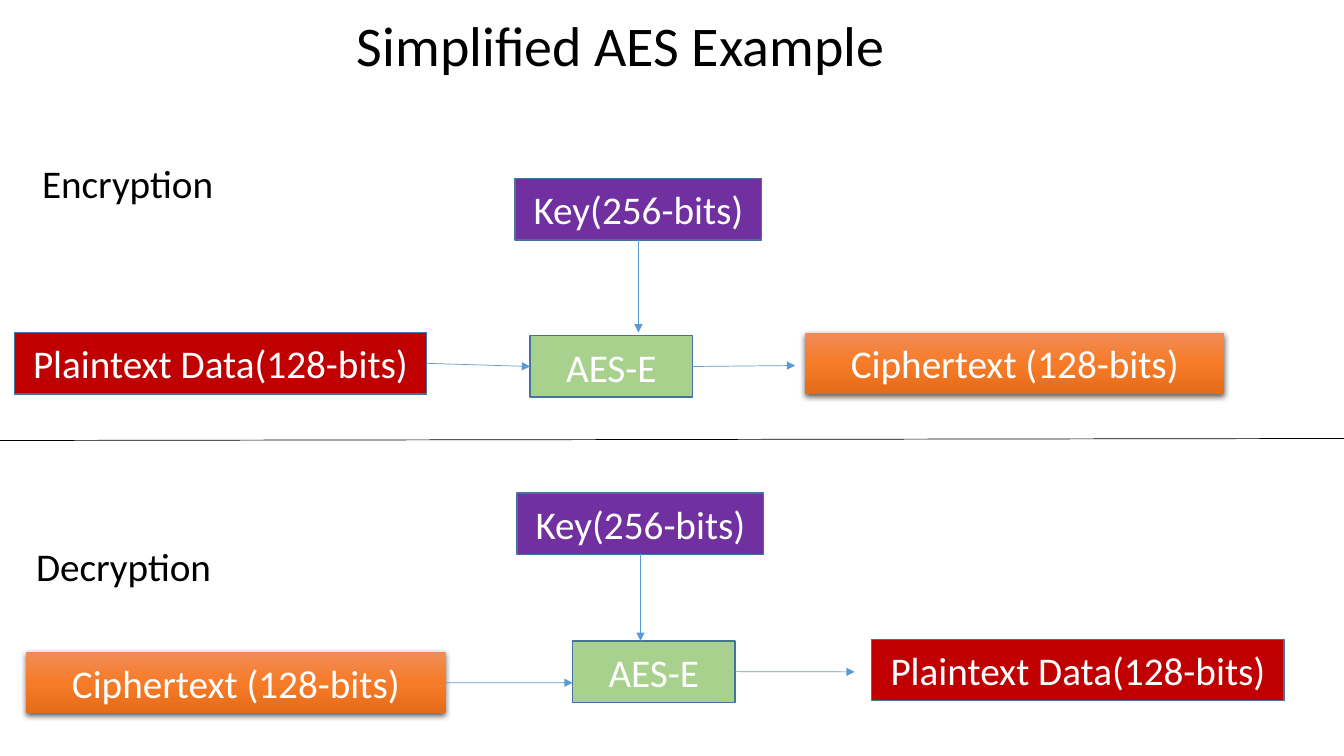
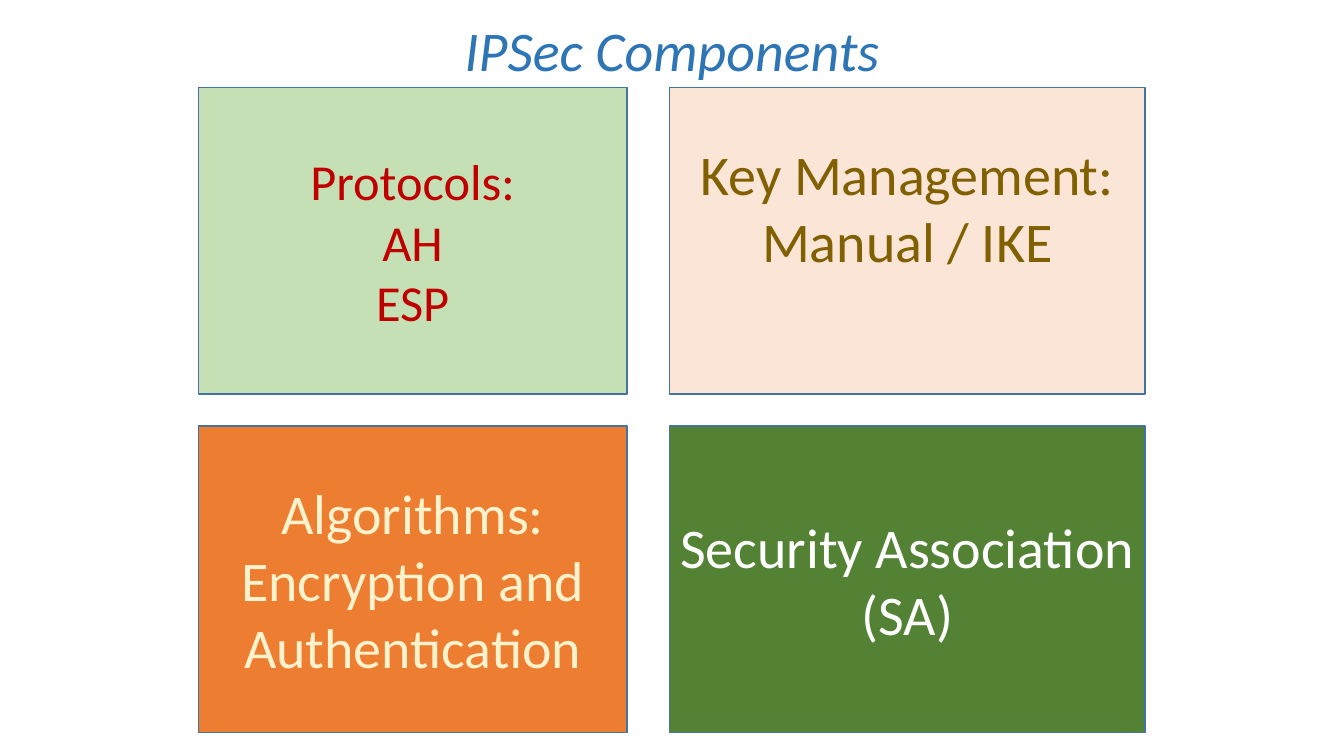
from pptx import Presentation
from pptx.dml.color import RGBColor
from pptx.enum.shapes import MSO_CONNECTOR, MSO_SHAPE
from pptx.enum.text import MSO_ANCHOR, MSO_AUTO_SIZE, PP_ALIGN
from pptx.oxml import parse_xml
from pptx.oxml.ns import nsdecls, qn
from pptx.util import Cm, Pt

RECTANGLE = MSO_SHAPE.RECTANGLE
STRAIGHT = MSO_CONNECTOR.STRAIGHT
MIDDLE = MSO_ANCHOR.MIDDLE
NO_AUTOFIT = MSO_AUTO_SIZE.NONE
LEFT, CENTER = PP_ALIGN.LEFT, PP_ALIGN.CENTER
TOP_SIDE, LEFT_SIDE, BOTTOM_SIDE, RIGHT_SIDE = range(4)

FONT = "Calibri"
BLACK = RGBColor(0x00, 0x00, 0x00)
WHITE = RGBColor(0xFF, 0xFF, 0xFF)
OUTLINE = RGBColor(0x43, 0x73, 0x9E)
ARROW_BLUE = RGBColor(0x5B, 0x9B, 0xD5)
TITLE_BLUE = RGBColor(0x2E, 0x75, 0xB6)
PURPLE = RGBColor(0x70, 0x30, 0xA0)
RED = RGBColor(0xC0, 0x00, 0x00)
GREEN = RGBColor(0xA9, 0xD1, 0x8E)
PALE_GREEN = RGBColor(0xC5, 0xE0, 0xB4)
DARK_GREEN = RGBColor(0x54, 0x82, 0x35)
PEACH = RGBColor(0xFB, 0xE5, 0xD6)
ORANGE = RGBColor(0xED, 0x7D, 0x31)
CREAM = RGBColor(0xFF, 0xF2, 0xCC)
OLIVE = RGBColor(0x80, 0x60, 0x00)
GLOSS = [
    (0, RGBColor(0xF1, 0x8C, 0x57)),
    (50, RGBColor(0xF6, 0x7B, 0x28)),
    (100, RGBColor(0xE5, 0x6C, 0x19)),
]

SLIDE_WIDTH, SLIDE_HEIGHT = 33.87, 19.05
TITLE_HEIGHT = 1.96
BLOCK_HEIGHT = 1.55
# Text, width and fill of each block; no fill means the glossy gradient
KEY = ("Key(256-bits)", 6.22, PURPLE)
PLAINTEXT = ("Plaintext Data(128-bits)", 10.39, RED)
CIPHERTEXT = ("Ciphertext (128-bits)", 10.57, None)
AES = ("AES-E", 4.09, GREEN)


def write_lines(frame, lines, size, color, align, italic=False):
    frame.text = "\n".join(lines)
    for paragraph in frame.paragraphs:
        paragraph.alignment = align
        font = paragraph.font
        font.name, font.size, font.italic = FONT, Pt(size), italic
        font.color.rgb = color


def add_titled_slide(prs, title, left, top, width, color, align, italic=False):
    slide = prs.slides.add_slide(prs.slide_layouts[5])
    heading = slide.shapes.title
    heading.left, heading.top = Cm(left), Cm(top)
    heading.width, heading.height = Cm(width), Cm(TITLE_HEIGHT)
    write_lines(heading.text_frame, [title], 40, color, align, italic)
    heading.text_frame.auto_size = NO_AUTOFIT
    return slide


def add_gloss(shape):
    """Give the shape a three-stop gradient and a soft shadow below."""
    stops = "".join(
        f'<a:gs pos="{position * 1000}"><a:srgbClr val="{color}"/></a:gs>'
        for position, color in GLOSS
    )
    gradient = parse_xml(
        f'<a:gradFill {nsdecls("a")} rotWithShape="1"><a:gsLst>{stops}</a:gsLst>'
        '<a:lin ang="5400000" scaled="0"/></a:gradFill>'
    )
    shadow = parse_xml(
        f'<a:outerShdw {nsdecls("a")} blurRad="57150" dist="19050" dir="5400000"'
        ' algn="ctr" rotWithShape="0"><a:srgbClr val="000000">'
        '<a:alpha val="63000"/></a:srgbClr></a:outerShdw>'
    )
    shape.fill.background()
    properties = shape._element.spPr
    properties.replace(properties.find(qn("a:noFill")), gradient)
    properties.find(qn("a:effectLst")).append(shadow)


def add_box(slide, left, top, width, height, lines, size, fill, color=WHITE):
    box = slide.shapes.add_shape(RECTANGLE, Cm(left), Cm(top), Cm(width), Cm(height))
    box.shadow.inherit = False
    if fill is None:
        box.line.fill.background()
        add_gloss(box)
    else:
        box.fill.solid()
        box.fill.fore_color.rgb = fill
        box.line.color.rgb = OUTLINE
        box.line.width = Pt(1)
    box.text_frame.vertical_anchor = MIDDLE
    write_lines(box.text_frame, lines, size, color, CENTER)
    return box


def add_line(slide, start, end, color):
    line = slide.shapes.add_connector(STRAIGHT, *map(Cm, start + end))
    line.line.color.rgb = color
    line.line.width = Pt(0.5)
    line._element.spPr.append(parse_xml(f'<a:effectLst {nsdecls("a")}/>'))
    return line


def add_arrow(slide, source, side, end):
    """Draw an arrow from a side of the source block to a point in cm."""
    arrow = add_line(slide, (0, 0), end, ARROW_BLUE)
    arrow.begin_connect(source, side)
    arrow.line._get_or_add_ln().append(
        parse_xml(f'<a:tailEnd {nsdecls("a")} type="triangle"/>')
    )
    return arrow


def add_cipher_panel(slide, top, label, label_at, blocks, key_gap, output_end):
    """Draw key, input, cipher and output; positions count from the panel top.

    blocks holds (block, left, top) in the order key, input, cipher, output.
    """
    left, offset = label_at
    caption = slide.shapes.add_textbox(Cm(left), Cm(top + offset), Cm(4.93), Cm(1.45))
    caption.text_frame.word_wrap = False
    write_lines(caption.text_frame, [label], 28, BLACK, LEFT)

    key, source, cipher, _ = [
        add_box(slide, x, top + y, width, BLOCK_HEIGHT, [text], 28, fill)
        for (text, width, fill), x, y in blocks
    ]
    (_, key_left, _), (_, _, source_top), (_, cipher_left, cipher_top), _ = blocks
    key_middle = key_left + KEY[1] / 2
    add_arrow(slide, key, BOTTOM_SIDE, (key_middle, top + cipher_top - key_gap))
    source_middle = top + source_top + BLOCK_HEIGHT / 2
    feed = add_arrow(slide, source, RIGHT_SIDE, (cipher_left, source_middle))
    if abs(source_top - cipher_top) < 0.1:
        feed.end_connect(cipher, LEFT_SIDE)
    add_arrow(slide, cipher, RIGHT_SIDE, (output_end[0], top + output_end[1]))


def build_aes_slide(prs):
    slide = add_titled_slide(
        prs, "Simplified AES Example", 8.74, 0.13, 13.94, BLACK, LEFT
    )
    divider = 11.1
    add_cipher_panel(
        slide, 0, "Encryption", (0.81, 3.89),
        [(KEY, 12.98, 4.5), (PLAINTEXT, 0.36, 8.38),
         (AES, 13.36, 8.46), (CIPHERTEXT, 20.29, 8.38)],
        key_gap=0.08, output_end=(20.04, 9.21),
    )
    add_cipher_panel(
        slide, divider, "Decryption", (0.66, 2.44),
        [(KEY, 13.03, 1.32), (CIPHERTEXT, 0.66, 5.33),
         (AES, 14.43, 5.05), (PLAINTEXT, 21.97, 5.01)],
        key_gap=0, output_end=(21.54, 5.83),
    )
    add_line(slide, (0, divider), (SLIDE_WIDTH, divider - 0.05), BLACK)


def add_component_grid(slide, left, top, widths, height, gaps, components):
    """Fill a two-column grid row by row and return its boxes."""
    column_lefts = (left, left + widths[0] + gaps[0])
    boxes = []
    for index, (lines, size, fill, color) in enumerate(components):
        row, column = divmod(index, 2)
        boxes.append(add_box(
            slide, column_lefts[column], top + row * (height + gaps[1]),
            widths[column], height, lines, size, fill, color,
        ))
    return boxes


def build_ipsec_slide(prs):
    slide = add_titled_slide(
        prs, "IPSec Components", 8.86, 0.25, 16.15, TITLE_BLUE, CENTER, italic=True
    )
    components = [
        (["Protocols:", "AH", "ESP"], 36, PALE_GREEN, RED),
        (["Key Management:", "Manual / IKE"], 40, PEACH, OLIVE),
        (["Algorithms:", "Encryption and", "Authentication"], 40, ORANGE, CREAM),
        (["Security Association (SA)"], 40, DARK_GREEN, WHITE),
    ]
    _, key_management, _, _ = add_component_grid(
        slide, 5, 2.21, (10.8, 11.99), 7.72, (1.07, 0.81), components
    )
    key_management.text_frame.margin_bottom = Cm(1.85)


def main():
    prs = Presentation()
    prs.slide_width, prs.slide_height = Cm(SLIDE_WIDTH), Cm(SLIDE_HEIGHT)
    build_aes_slide(prs)
    build_ipsec_slide(prs)
    prs.save("out.pptx")


if __name__ == "__main__":
    main()
